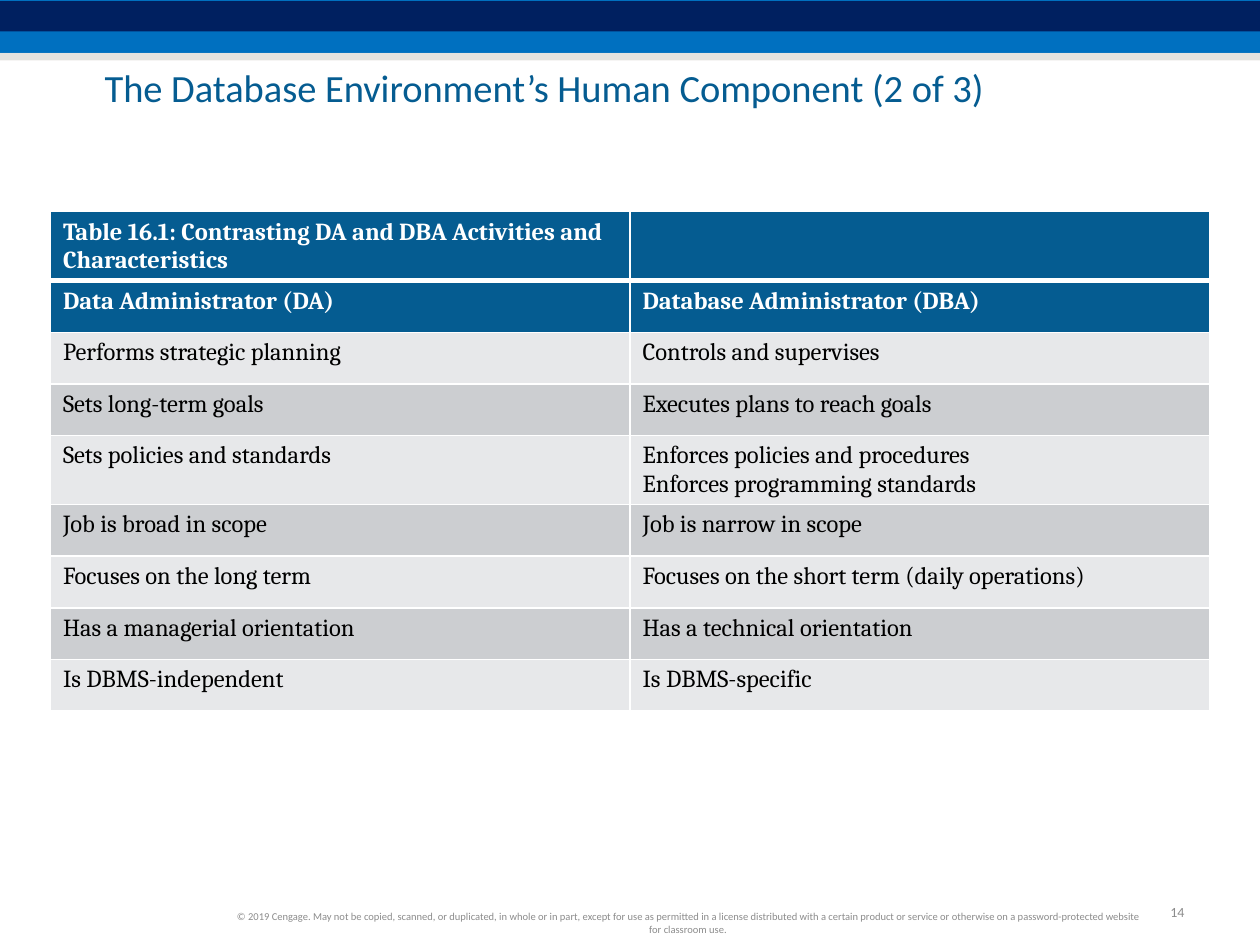
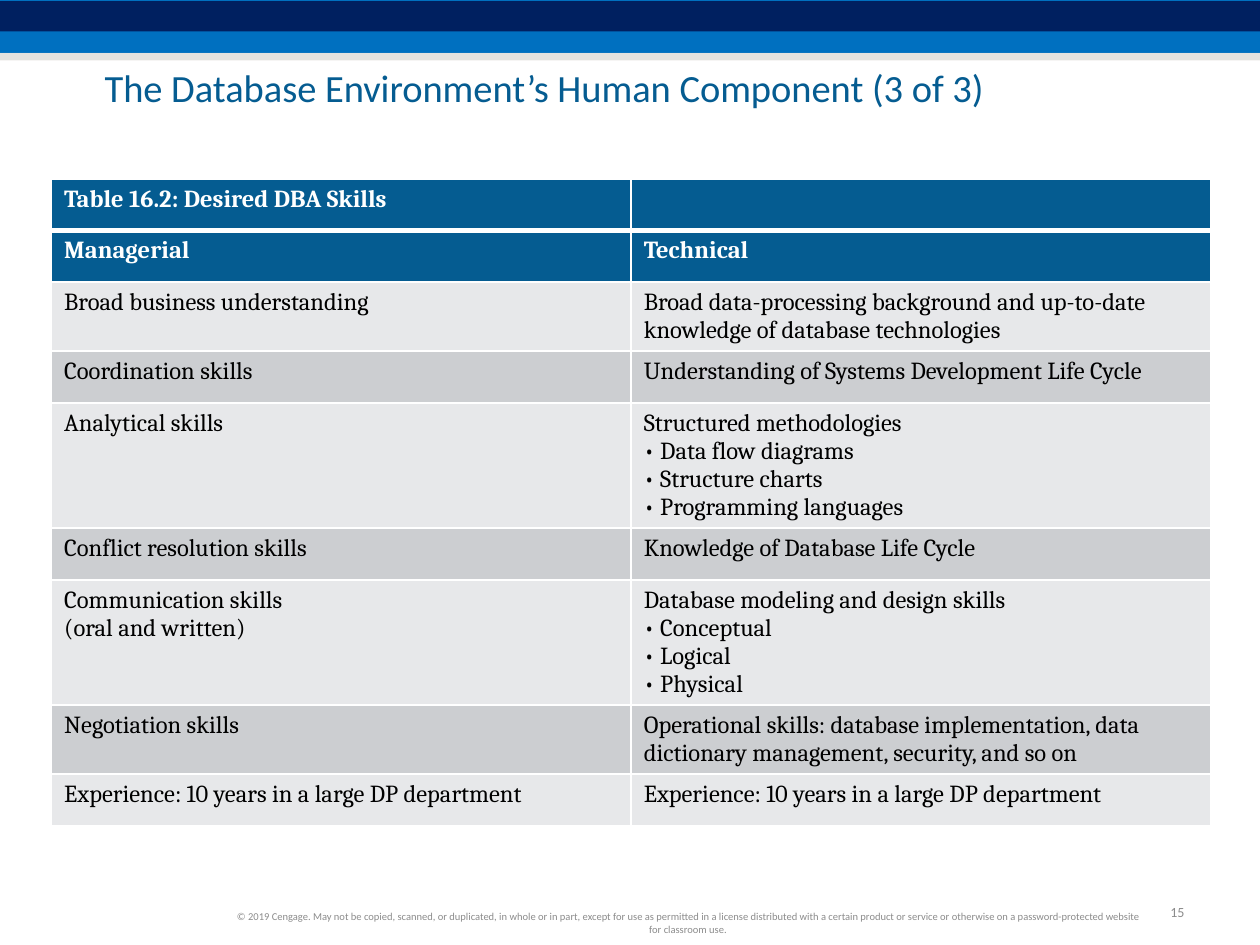
from dataclasses import dataclass

from lxml import etree
from pptx import Presentation
from pptx.dml.color import RGBColor
from pptx.enum.shapes import MSO_SHAPE
from pptx.enum.text import MSO_ANCHOR, MSO_AUTO_SIZE, PP_ALIGN
from pptx.oxml.ns import qn
from pptx.util import Inches, Pt

RECTANGLE = MSO_SHAPE.RECTANGLE
MIDDLE = MSO_ANCHOR.MIDDLE
NO_FIT = MSO_AUTO_SIZE.NONE
LEFT, CENTER, RIGHT = PP_ALIGN.LEFT, PP_ALIGN.CENTER, PP_ALIGN.RIGHT
TITLE_ONLY = 5


@dataclass(frozen=True)
class Theme:
    heading_font: str = "Calibri"
    table_font: str = "Cambria"
    title_size: int = 22
    table_size: int = 14
    number_size: int = 8
    footer_size: int = 6
    title: str = "055C91"
    header_fill: str = "055C91"
    light_row: str = "E7E8EA"
    dark_row: str = "CCCED1"
    white: str = "FFFFFF"
    black: str = "000000"
    gray: str = "8C8C8C"
    blue_band: str = "0070C0"
    navy_band: str = "002060"
    sand_band: str = "CCC9C1"


THEME = Theme()
FIRST_PAGE = 14
HEADER_ROWS = 2
ROW_HEIGHT = 0.41
BULLET = "• "
TITLE = "The Database Environment’s Human Component ({} of 3)"
COPYRIGHT = (
    "© 2019 Cengage. May not be copied, scanned, or duplicated, in whole or in part, "
    "except for use as permitted in a license distributed with a certain product or "
    "service or otherwise on a password-protected website for classroom use."
)

ACTIVITIES = [
    ("Table 16.1: Contrasting DA and DBA Activities and Characteristics", ""),
    ("Data Administrator (DA)", "Database Administrator (DBA)"),
    ("Performs strategic planning", "Controls and supervises"),
    ("Sets long-term goals", "Executes plans to reach goals"),
    ("Sets policies and standards",
     "Enforces policies and procedures\nEnforces programming standards"),
    ("Job is broad in scope", "Job is narrow in scope"),
    ("Focuses on the long term", "Focuses on the short term (daily operations)"),
    ("Has a managerial orientation", "Has a technical orientation"),
    ("Is DBMS-independent", "Is DBMS-specific"),
]

SKILLS = [
    ("Table 16.2: Desired DBA Skills", ""),
    ("Managerial", "Technical"),
    ("Broad business understanding",
     "Broad data-processing background and up-to-date knowledge of database technologies"),
    ("Coordination skills", "Understanding of Systems Development Life Cycle"),
    ("Analytical skills",
     "Structured methodologies\n• Data flow diagrams\n• Structure charts\n"
     "• Programming languages"),
    ("Conflict resolution skills", "Knowledge of Database Life Cycle"),
    ("Communication skills\n(oral and written)",
     "Database modeling and design skills\n• Conceptual\n• Logical\n• Physical"),
    ("Negotiation skills",
     "Operational skills: database implementation, data\n"
     "dictionary management, security, and so on"),
    ("Experience: 10 years in a large DP department",
     "Experience: 10 years in a large DP department"),
]


def place(shape, box):
    shape.left, shape.top, shape.width, shape.height = map(Inches, box)


def style_font(font, name, size, color, bold=False):
    font.name = name
    font.size = Pt(size)
    font.bold = bold
    font.color.rgb = RGBColor.from_string(color)


def add_band(page, box, color, opacity=100):
    band = page.shapes.add_shape(RECTANGLE, *map(Inches, box))
    band.shadow.inherit = False
    band.line.fill.background()
    band.fill.solid()
    band.fill.fore_color.rgb = RGBColor.from_string(color)
    if opacity < 100:
        tint = band.fill._xPr.find(".//" + qn("a:srgbClr"))
        etree.SubElement(tint, qn("a:alpha"), val=str(opacity * 1000))


def add_bands(page):
    add_band(page, (0, 0, 10, 0.42), THEME.blue_band)
    add_band(page, (0, 0.01, 10, 0.24), THEME.navy_band)
    add_band(page, (0, 0.42, 10, 0.06), THEME.sand_band, 50)


def add_note(page, box, text, size, alignment, wrap):
    note = page.shapes.add_textbox(*map(Inches, box))
    frame = note.text_frame
    frame.text = text
    frame.word_wrap = wrap
    frame.vertical_anchor = MIDDLE
    para = frame.paragraphs[0]
    para.alignment = alignment
    style_font(para.runs[0].font, THEME.heading_font, size, THEME.gray)


def set_title(page, box, text):
    title = page.shapes.title
    place(title, box)
    frame = title.text_frame
    frame.text = text
    frame.auto_size = NO_FIT
    frame.word_wrap = True
    frame.vertical_anchor = MIDDLE
    frame.margin_left = frame.margin_right = 0
    frame.margin_top = frame.margin_bottom = 0
    para = frame.paragraphs[0]
    para.alignment = LEFT
    para.line_spacing = 0.85
    style_font(para.runs[0].font, THEME.heading_font, THEME.title_size, THEME.title)


def set_borders(cell, top, bottom):
    properties = cell._tc.get_or_add_tcPr()
    for side, width in (("L", 1), ("R", 1), ("T", top), ("B", bottom)):
        line = etree.SubElement(properties, qn(f"a:ln{side}"), w=str(Pt(width)))
        fill = etree.SubElement(line, qn("a:solidFill"))
        etree.SubElement(fill, qn("a:srgbClr"), val=THEME.white)


def make_bullet(para):
    para.text = para.text.removeprefix(BULLET)
    properties = para._p.get_or_add_pPr()
    indent = Inches(0.13)
    properties.set("marL", str(indent))
    properties.set("indent", str(-indent))
    etree.SubElement(properties, qn("a:buFont"), typeface=THEME.table_font)
    etree.SubElement(properties, qn("a:buChar"), char=BULLET.strip())


def fill_cell(cell, text, row):
    is_header = row < HEADER_ROWS
    set_borders(cell, 3 if row == 1 else 1, 3 if row == 0 else 1)
    if is_header:
        color = THEME.header_fill
    else:
        color = THEME.dark_row if row % 2 else THEME.light_row
    cell.fill.solid()
    cell.fill.fore_color.rgb = RGBColor.from_string(color)
    cell.text_frame.text = text
    for para in cell.text_frame.paragraphs:
        if para.text.startswith(BULLET):
            make_bullet(para)
        for span in para.runs:
            style_font(span.font, THEME.table_font, THEME.table_size,
                       THEME.white if is_header else THEME.black, is_header)


def add_comparison(page, left, top, rows):
    box = (left, top, 9.2, ROW_HEIGHT * len(rows))
    table = page.shapes.add_table(len(rows), 2, *map(Inches, box)).table
    table.horz_banding = False
    for row, texts in enumerate(rows):
        for column, text in enumerate(texts):
            fill_cell(table.cell(row, column), text, row)


def add_table_page(deck, number, part, left, top, rows):
    page = deck.slides.add_slide(deck.slide_layouts[TITLE_ONLY])
    add_bands(page)
    set_title(page, (0.83, 0.56, 8.78, 0.32), TITLE.format(part))
    add_comparison(page, left, top, rows)
    add_note(page, (9.16, 7.12, 0.34, 0.24), str(number),
             THEME.number_size, RIGHT, False)
    add_note(page, (1.75, 7.19, 7.42, 0.27), COPYRIGHT,
             THEME.footer_size, CENTER, True)


def main():
    deck = Presentation()
    deck.slide_width, deck.slide_height = Inches(10), Inches(7.5)
    add_table_page(deck, FIRST_PAGE, 2, 0.4, 1.68, ACTIVITIES)
    add_table_page(deck, FIRST_PAGE + 1, 3, 0.41, 1.42, SKILLS)
    deck.save("out.pptx")


if __name__ == "__main__":
    main()
